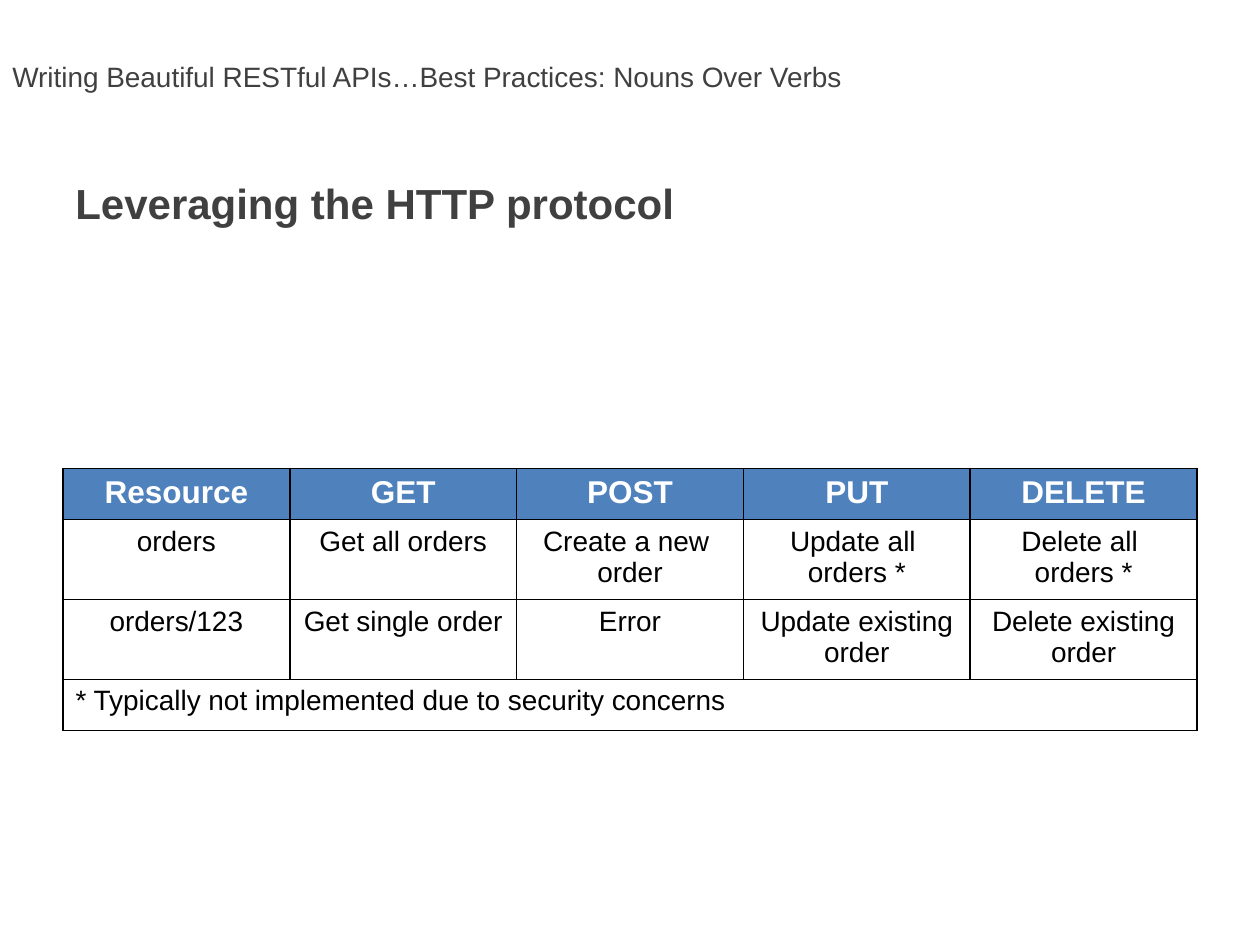
from dataclasses import dataclass

from lxml import etree
from pptx import Presentation
from pptx import util as u
from pptx.dml import color
from pptx.enum import text
from pptx.oxml import ns
from pptx.slide import Slide

DARK, BLACK, WHITE, BLUE = "404040", "000000", "FFFFFF", "4F81BD"


def rgb(value):
    return color.RGBColor.from_string(value)


@dataclass
class Page:
    slide: Slide
    font: str = "Arial"
    border: float = 1

    def add_lines(self, frame, lines, ink, align="LEFT", space=0, **formats):
        """Fill a text frame with one paragraph per line."""
        for index, line in enumerate(lines):
            para = frame.add_paragraph() if index else frame.paragraphs[0]
            para.alignment = getattr(text.PP_ALIGN, align)
            para.space_before = u.Pt(space)
            span = para.add_run()
            span.text = line
            span.font.color.rgb = rgb(ink)
            for name, value in {"name": self.font, **formats}.items():
                setattr(span.font, name, value)

    def text_box(self, area, line, **formats):
        box = self.slide.shapes.add_textbox(*map(u.Pt, area))
        frame = box.text_frame
        frame.word_wrap = True
        frame.vertical_anchor = text.MSO_ANCHOR.MIDDLE
        self.add_lines(frame, [line], DARK, **formats)

    def outline(self, cell):
        """Draw all four borders, which must come before the cell's fill."""
        props = cell._tc.get_or_add_tcPr()
        for index, side in enumerate(("lnL", "lnR", "lnT", "lnB")):
            line = etree.Element(ns.qn(f"a:{side}"), w=str(u.Pt(self.border)))
            fill = etree.SubElement(line, ns.qn("a:solidFill"))
            etree.SubElement(fill, ns.qn("a:srgbClr"), val=BLACK)
            props.insert(index, line)

    def table(self, area, rows, note):
        """Add a table with a header row and a note across the last row."""
        count = len(rows) + 1
        grid = self.slide.shapes.add_table(
            count, len(rows[0]), *map(u.Pt, area)).table
        grid.horz_banding = False
        for row_index, row in enumerate(rows):
            header = row_index == 0
            for column, content in enumerate(row):
                self.add_lines(grid.cell(row_index, column).text_frame,
                               content.split("\n"), WHITE if header else BLACK,
                               align="CENTER", size=u.Pt(18 if header else 16),
                               bold=header)
        last = grid.cell(count - 1, 0)
        last.merge(grid.cell(count - 1, len(rows[0]) - 1))
        self.add_lines(last.text_frame, [note], BLACK, size=u.Pt(16),
                       bold=False)
        for index, cell in enumerate(grid.iter_cells()):
            cell.fill.solid()
            cell.fill.fore_color.rgb = rgb(
                BLUE if index < len(rows[0]) else WHITE)
            self.outline(cell)


def main():
    deck = Presentation()
    deck.slide_width, deck.slide_height = u.Pt(720), u.Pt(540)
    page = Page(deck.slides.add_slide(deck.slide_layouts[6]))
    page.text_box(
        (0, 1.5, 720, 84),
        "Writing Beautiful RESTful APIs…Best Practices: Nouns Over Verbs",
        size=u.Pt(16))
    page.text_box((36, 98, 648, 36), "Leveraging the HTTP protocol",
                  space=4.8, size=u.Pt(24), bold=True)
    methods = [
        ("Resource", "GET", "POST", "PUT", "DELETE"),
        ("orders", "Get all orders", "Create a new \norder",
         "Update all \norders *", "Delete all \norders *"),
        ("orders/123", "Get single order", "Error",
         "Update existing order", "Delete existing order"),
    ]
    page.table((36, 267.8, 648, 116.8), methods,
               "* Typically not implemented due to security concerns")
    deck.save("out.pptx")


if __name__ == "__main__":
    main()
